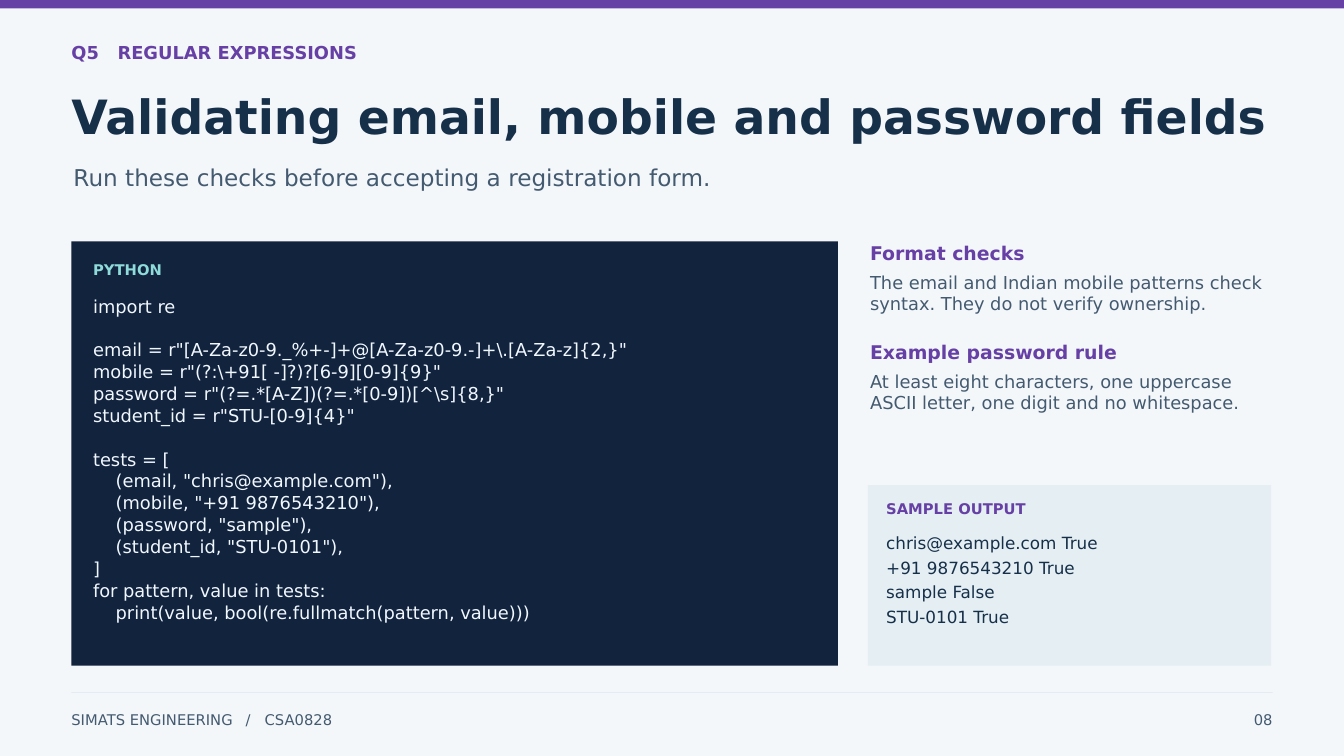
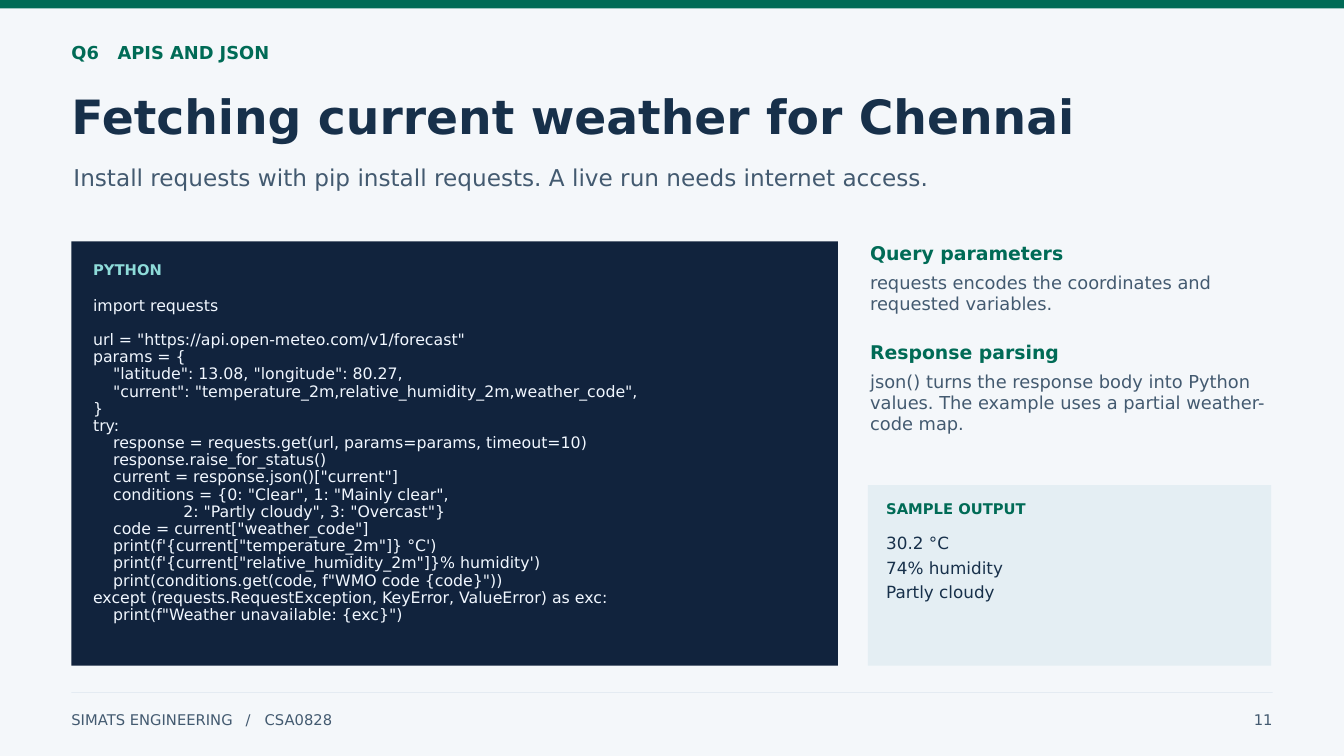
from lxml.etree import SubElement
from pptx import Presentation
from pptx.dml.color import RGBColor
from pptx.enum.shapes import MSO_SHAPE
from pptx.enum.text import MSO_AUTO_SIZE, PP_ALIGN
from pptx.oxml.ns import qn
from pptx.util import Pt

PX = 9525  # EMU in one px; a page is 1920 by 1080 px
FONT = "DejaVu Sans"
COLOURS = {
    "paper": "F4F7FA",
    "ink": "17304A",
    "muted": "435A70",
    "rule": "DCE6EF",
    "code_panel": "11233D",
    "code_label": "8EDBD9",
    "code": "F1F7FF",
    "output_panel": "E4EEF3",
    "purple": "6740A5",
    "green": "006B56",
}
# Text size and line spacing in points, then weight
STYLES = {
    "kicker": (19.1, 22.9, True),
    "title": (50.6, 60.8, True),
    "subtitle": (24.8, 29.7, False),
    "label": (15.8, 18.9, True),
    "footer": (15.8, 18.9, False),
    "code": (19.1, 22.9, False),
    "small_code": (16.9, 20.2, False),
    "heading": (20.2, 24.3, True),
    "body": (19.1, 22.9, False),
    "output": (18, 21.6, False),
}
LEFT, WIDTH = 102, 1716
PANEL_TOP = 345
CODE_LEFT, CODE_TOP = 133, 422
NOTE_LEFT, NOTE_STEP = 1243, 141
OUTPUT_LEFT, OUTPUT_TOP, OUTPUT_STEP = 1266, 761, 35

REGEX_CODE = r'''import re

email = r"[A-Za-z0-9._%+-]+@[A-Za-z0-9.-]+\.[A-Za-z]{2,}"
mobile = r"(?:\+91[ -]?)?[6-9][0-9]{9}"
password = r"(?=.*[A-Z])(?=.*[0-9])[^\s]{8,}"
student_id = r"STU-[0-9]{4}"

tests = [
    (email, "chris@example.com"),
    (mobile, "+91 9876543210"),
    (password, "sample"),
    (student_id, "STU-0101"),
]
for pattern, value in tests:
    print(value, bool(re.fullmatch(pattern, value)))'''

WEATHER_CODE = r'''import requests

url = "https://api.open-meteo.com/v1/forecast"
params = {
    "latitude": 13.08, "longitude": 80.27,
    "current": "temperature_2m,relative_humidity_2m,weather_code",
}
try:
    response = requests.get(url, params=params, timeout=10)
    response.raise_for_status()
    current = response.json()["current"]
    conditions = {0: "Clear", 1: "Mainly clear",
                  2: "Partly cloudy", 3: "Overcast"}
    code = current["weather_code"]
    print(f'{current["temperature_2m"]} °C')
    print(f'{current["relative_humidity_2m"]}% humidity')
    print(conditions.get(code, f"WMO code {code}"))
except (requests.RequestException, KeyError, ValueError) as exc:
    print(f"Weather unavailable: {exc}")'''

PAGES = [
    {
        "number": "08",
        "accent": "purple",
        "kicker": "Q5\tREGULAR EXPRESSIONS",
        "title": "Validating email, mobile and password fields",
        "subtitle": "Run these checks before accepting a registration form.",
        "code": REGEX_CODE,
        "code_style": "code",
        "code_last_top": 859,
        "code_height": 36,
        "notes": [
            ("Format checks",
             "The email and Indian mobile patterns check syntax. "
             "They do not verify ownership."),
            ("Example password rule",
             "At least eight characters, one uppercase ASCII letter, "
             "one digit and no whitespace."),
        ],
        "output": ["chris@example.com True", "+91 9876543210 True",
                   "sample False", "STU-0101 True"],
    },
    {
        "number": "11",
        "accent": "green",
        "kicker": "Q6\tAPIS AND JSON",
        "title": "Fetching current weather for Chennai",
        "subtitle": "Install requests with pip install requests. "
                    "A live run needs internet access.",
        "code": WEATHER_CODE,
        "code_style": "small_code",
        "code_last_top": 864,
        "code_height": 30,
        "notes": [
            ("Query parameters",
             "requests encodes the coordinates and requested variables."),
            ("Response parsing",
             "json() turns the response body into Python values. "
             "The example uses a partial weather-code map."),
        ],
        "output": ["30.2 °C", "74% humidity", "Partly cloudy"],
    },
]


def add_panel(page, colour, *frame):
    """Draw a plain filled rectangle; frame is left, top, width, height in px."""
    panel = page.shapes.add_shape(MSO_SHAPE.RECTANGLE, *(n * PX for n in frame))
    panel.shadow.inherit = False
    panel.fill.solid()
    panel.fill.fore_color.rgb = RGBColor.from_string(COLOURS[colour])
    panel.line.fill.background()


def add_text(page, text, style, colour, *frame, align=PP_ALIGN.LEFT, tabs=()):
    """Place one paragraph; frame and tab stops are in px."""
    size, spacing, bold = STYLES[style]
    box = page.shapes.add_textbox(*(round(n * PX) for n in frame))
    frame_format = {
        "margin_left": 0, "margin_top": 0, "margin_right": 0, "margin_bottom": 0,
        "word_wrap": True, "auto_size": MSO_AUTO_SIZE.SHAPE_TO_FIT_TEXT,
    }
    for name, value in frame_format.items():
        setattr(box.text_frame, name, value)
    para = box.text_frame.paragraphs[0]
    para.alignment = align
    para.line_spacing = Pt(spacing)
    if tabs:
        stops = SubElement(para._p.get_or_add_pPr(), qn("a:tabLst"))
        for position in tabs:
            SubElement(stops, qn("a:tab"), pos=str(position * PX), algn="l")
    span = para.add_run()
    span.text = text
    for name, value in {"name": FONT, "size": Pt(size), "bold": bold}.items():
        setattr(span.font, name, value)
    span.font.color.rgb = RGBColor.from_string(COLOURS[colour])


deck = Presentation()
deck.slide_width, deck.slide_height = 1920 * PX, 1080 * PX

for content in PAGES:
    page = deck.slides.add_slide(deck.slide_layouts[6])
    page.background.fill.solid()
    page.background.fill.fore_color.rgb = RGBColor.from_string(COLOURS["paper"])
    accent = content["accent"]

    # Top band and titles
    add_panel(page, accent, 0, 0, 1920, 12)
    add_text(page, content["kicker"], "kicker", accent,
             LEFT, 59, WIDTH, 46, tabs=[66])
    add_text(page, content["title"], "title", "ink", LEFT, 124, WIDTH, 100)
    add_text(page, content["subtitle"], "subtitle", "muted", 105, 233, 1710, 92)

    # Footer
    add_panel(page, "rule", LEFT, 989, WIDTH, 1)
    add_text(page, "SIMATS ENGINEERING\t/\tCSA0828", "footer", "muted",
             LEFT, 1015, 975, 37, tabs=[249, 276])
    add_text(page, content["number"], "footer", "muted",
             1680, 1015, 138, 37, align=PP_ALIGN.RIGHT)

    # Code, one box a line, spread evenly from the first line to the last
    add_panel(page, "code_panel", LEFT, PANEL_TOP, 1095, 606)
    add_text(page, "PYTHON", "label", "code_label", CODE_LEFT, 372, 1020, 37)
    lines = content["code"].splitlines()
    code_step = (content["code_last_top"] - CODE_TOP) / (len(lines) - 1)
    for row, line in enumerate(lines):
        if line:
            add_text(page, line, content["code_style"], "code", CODE_LEFT,
                     CODE_TOP + row * code_step, 1029, content["code_height"])

    # Explanations
    for row, (heading, body) in enumerate(content["notes"]):
        top = PANEL_TOP + row * NOTE_STEP
        add_text(page, heading, "heading", accent, NOTE_LEFT, top, 561, 39)
        add_text(page, body, "body", "muted", NOTE_LEFT, top + 43, 564, 95)

    # Sample output
    add_panel(page, "output_panel", 1240, 693, 576, 258)
    add_text(page, "SAMPLE OUTPUT", "label", accent, OUTPUT_LEFT, 714, 519, 38)
    for row, line in enumerate(content["output"]):
        add_text(page, line, "output", "ink", OUTPUT_LEFT,
                 OUTPUT_TOP + row * OUTPUT_STEP, 531, 41)

deck.save("out.pptx")
